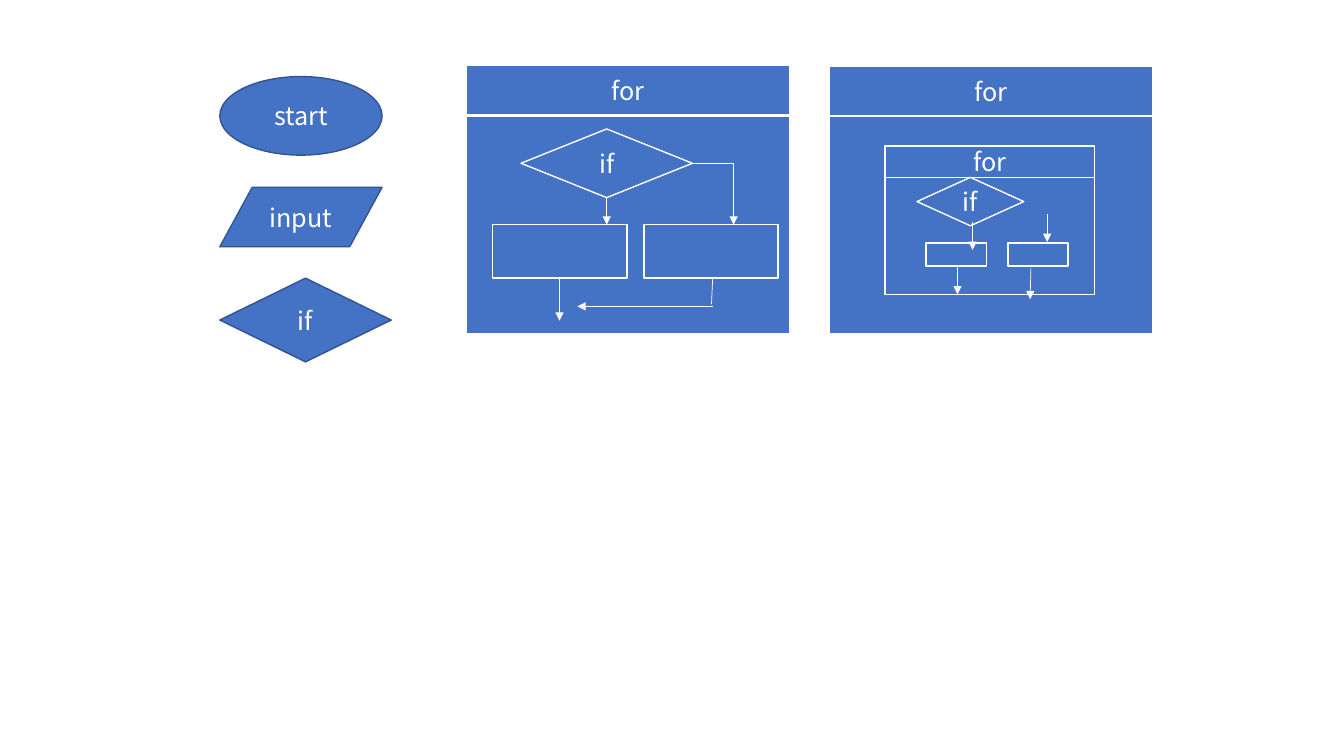
from dataclasses import dataclass
from lxml.etree import SubElement
from pptx import Presentation
from pptx.dml.color import RGBColor
from pptx.enum.shapes import MSO_CONNECTOR as Connector, MSO_SHAPE as Shape
from pptx.enum.text import MSO_ANCHOR as Anchor, PP_ALIGN as Align
from pptx.oxml.ns import qn
from pptx.util import Cm, Pt


@dataclass(frozen=True)
class Theme:
    font: str = "Noto Sans CJK KR"
    text_size: float = 18
    fill: str = "4472C4"
    border: str = "325491"
    white: str = "FFFFFF"
    border_width: float = 1
    flow_width: float = 0.5


THEME = Theme()

LEGEND = [
    (Shape.OVAL, "start", (5.54, 1.93, 4.09, 1.98)),
    (Shape.FLOWCHART_DATA, "input", (5.54, 4.72, 4.09, 1.5)),
    (Shape.FLOWCHART_DECISION, "if", (5.54, 7.01, 4.32, 2.11)),
]

SIMPLE_LOOP = {
    "frames": [{"left": 11.76, "width": 8.15, "header": (1.65, 1.24), "body": (2.92, 5.49)}],
    "decision": (13.13, 3.25, 4.32, 1.73),
    "branches": {"lefts": (12.42, 16.23), "top": 5.66, "size": (3.38, 1.35)},
    "flows": [
        ((15.29, 4.98), (15.29, 5.66), True),
        ((17.45, 4.11), (18.49, 4.11), False),
        ((18.49, 4.11), (18.49, 5.66), True),
        ((14.1, 7.01), (14.1, 8.08), True),
        ((17.96, 7.01), (17.93, 7.67), False),
        ((17.96, 7.72), (14.55, 7.72), True),
    ],
}

NESTED_LOOP = {
    "frames": [
        {"left": 20.9, "width": 8.15, "header": (1.68, 1.24), "body": (2.92, 5.49)},
        {"left": 22.3, "width": 5.28, "header": (3.68, 0.79), "body": (4.47, 2.95)},
    ],
    "decision": (23.11, 4.47, 2.69, 1.22),
    "branches": {"lefts": (23.34, 25.4), "top": 6.12, "size": (1.52, 0.58)},
    "flows": [
        ((24.13, 6.71), (24.13, 7.42), True),
        ((25.98, 6.76), (25.96, 7.54), True),
        ((24.51, 5.59), (24.51, 6.3), True),
        ((26.39, 5.38), (26.39, 6.1), True),
    ],
}


def color(value):
    return RGBColor.from_string(value)


def add_node(slide, kind, box, text="", border=THEME.white):
    shape = slide.shapes.add_shape(kind, *map(Cm, box))
    shape.shadow.inherit = False
    shape.fill.solid()
    shape.fill.fore_color.rgb = color(THEME.fill)
    shape.line.color.rgb = color(border)
    shape.line.width = Pt(THEME.border_width)
    if text:
        frame = shape.text_frame
        frame.word_wrap = True
        frame.vertical_anchor = Anchor.MIDDLE
        paragraph = frame.paragraphs[0]
        paragraph.alignment = Align.CENTER
        run = paragraph.add_run()
        run.text = text
        run.font.name = THEME.font
        run.font.size = Pt(THEME.text_size)
        run.font.color.rgb = color(THEME.white)
        SubElement(run.font._element, qn("a:ea"), typeface=THEME.font)


def add_flow(slide, start, end, arrow):
    connector = slide.shapes.add_connector(Connector.STRAIGHT, *map(Cm, start + end))
    connector.line.color.rgb = color(THEME.white)
    connector.line.width = Pt(THEME.flow_width)
    if arrow:
        SubElement(connector.line._get_or_add_ln(), qn("a:tailEnd"), type="triangle")
    SubElement(connector._element.spPr, qn("a:effectLst"))


def add_loop(slide, loop):
    for frame in loop["frames"]:
        for part, text in (("header", "for"), ("body", "")):
            top, height = frame[part]
            box = (frame["left"], top, frame["width"], height)
            add_node(slide, Shape.RECTANGLE, box, text)
    add_node(slide, Shape.FLOWCHART_DECISION, loop["decision"], "if")
    branches = loop["branches"]
    for left in branches["lefts"]:
        add_node(slide, Shape.RECTANGLE, (left, branches["top"], *branches["size"]))
    for start, end, arrow in loop["flows"]:
        add_flow(slide, start, end, arrow)


presentation = Presentation()
presentation.slide_width = Cm(33.87)
presentation.slide_height = Cm(19.05)
slide = presentation.slides.add_slide(presentation.slide_layouts[6])

for kind, text, box in LEGEND:
    add_node(slide, kind, box, text, THEME.border)
for loop in (SIMPLE_LOOP, NESTED_LOOP):
    add_loop(slide, loop)

presentation.save("out.pptx")
